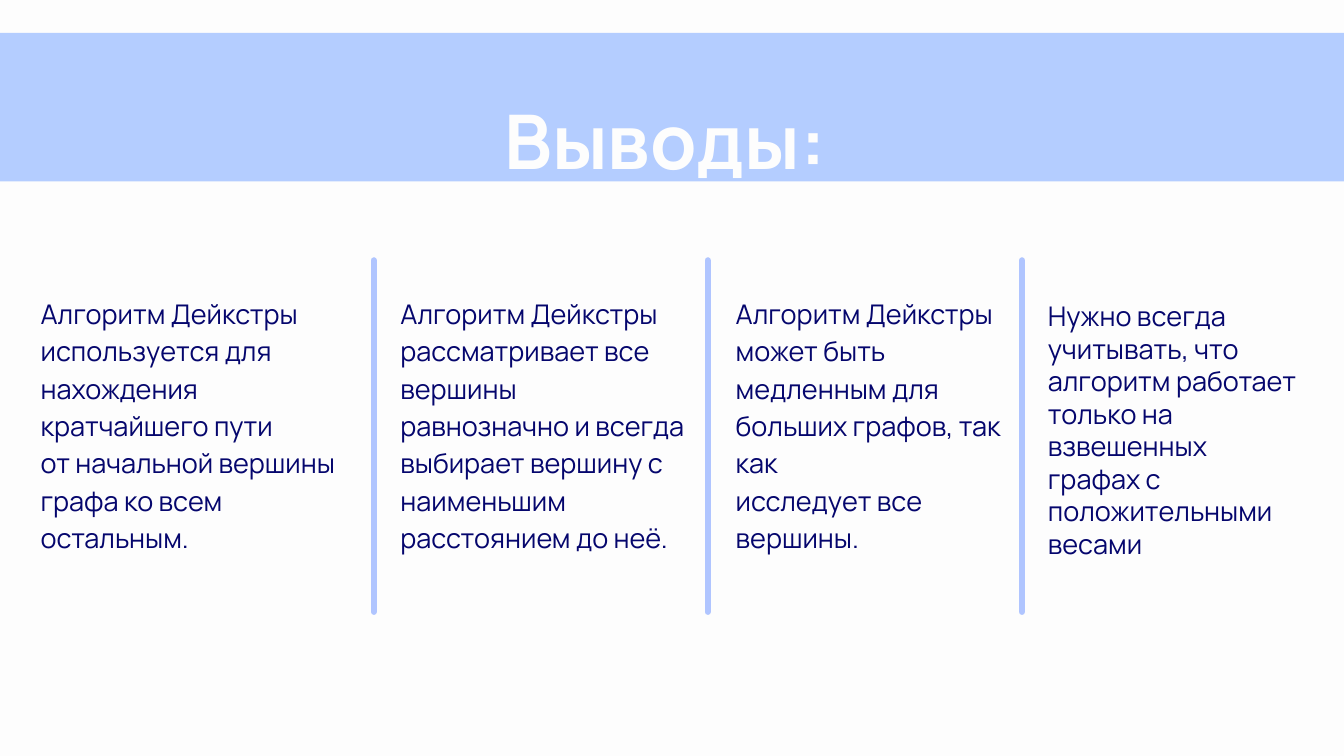
from pptx import Presentation
from pptx.dml.color import RGBColor
from pptx.enum.shapes import MSO_CONNECTOR, MSO_SHAPE
from pptx.enum.text import MSO_ANCHOR, MSO_AUTO_SIZE, PP_ALIGN
from pptx.oxml.ns import qn
from pptx.util import Pt
from lxml import etree

STRAIGHT, RECTANGLE = MSO_CONNECTOR.STRAIGHT, MSO_SHAPE.RECTANGLE
TOP, GROW = MSO_ANCHOR.TOP, MSO_AUTO_SIZE.SHAPE_TO_FIT_TEXT
LEFT, CENTER = PP_ALIGN.LEFT, PP_ALIGN.CENTER

PAPER = RGBColor(0xFD, 0xFD, 0xFD)
BAND = RGBColor(0xB4, 0xCD, 0xFF)
RULE = RGBColor(0xB0, 0xC5, 0xFF)
NAVY = RGBColor(0x05, 0x06, 0x6D)
FONT = "Manrope"
WIDTH, HEIGHT = 1920, 1080

# Left, width, inset, line spacing, paragraphs
COLUMNS = [
    (58, 422, 0, 1.15, [
        "Алгоритм Дейкстры используется для нахождения кратчайшего пути",
        "от начальной вершины графа ко всем остальным."]),
    (572, 409, 0, 1.15, [
        "Алгоритм Дейкстры рассматривает все вершины равнозначно и всегда",
        "выбирает вершину с наименьшим расстоянием до неё."]),
    (1051, 409, 0, 1.15, [
        "Алгоритм Дейкстры может быть медленным для больших графов, так как",
        "исследует все вершины."]),
    (1487, 379, 10, 1.0, [
        "Нужно всегда учитывать, что алгоритм работает только на взвешенных "
        "графах с положительными весами"]),
]
DIVIDERS = [534, 1011, 1460]


def px(n):
    return n * 9525


def place(shape, x, y, w, h):
    shape.left, shape.top, shape.width, shape.height = px(x), px(y), px(w), px(h)


def write(shape, paragraphs, size, color, spacing, inset=0, align=LEFT, bold=False):
    tf = shape.text_frame
    tf.text = "\n".join(paragraphs)
    tf.word_wrap = True
    tf.auto_size = GROW
    tf.vertical_anchor = TOP
    tf.margin_left = tf.margin_right = tf.margin_top = tf.margin_bottom = px(inset)
    for p in tf.paragraphs:
        p.alignment = align
        p.line_spacing = spacing
        p.space_before = Pt(0)
        for r in p.runs:
            r.font.name = FONT
            r.font.size = Pt(size)
            r.font.bold = bold
            r.font.color.rgb = color


def add_header(s, x, y, w, h):
    # Band goes behind the title
    band = s.shapes.add_shape(RECTANGLE, px(x), px(y), px(w), px(h))
    band.shadow.inherit = False
    band.fill.solid()
    band.fill.fore_color.rgb = BAND
    band.line.fill.background()
    title = s.shapes.title
    title._element.addprevious(band._element)

    place(title, x + 505, y + 36, 891, 131)
    write(title, ["Выводы:"], 80.8, PAPER, 1.4, align=CENTER, bold=True)


def add_divider(s, x, y, h):
    line = s.shapes.add_connector(STRAIGHT, px(x), px(y), px(x), px(y + h))
    line.line.color.rgb = RULE
    line.line.width = Pt(6.75)
    spPr = line._element.spPr
    spPr.find(qn("a:ln")).set("cap", "rnd")
    etree.SubElement(spPr, qn("a:effectLst"))


def add_conclusions(s, y, h):
    for x in DIVIDERS:
        add_divider(s, x, y, h)
    for x, w, inset, spacing, paragraphs in COLUMNS:
        box = s.shapes.add_textbox(px(x), px(y + 46), px(w), px(h - 92))
        write(box, paragraphs, 29, NAVY, spacing, inset)


def main():
    prs = Presentation()
    prs.slide_width, prs.slide_height = px(WIDTH), px(HEIGHT)
    s = prs.slides.add_slide(prs.slide_layouts[5])
    s.background.fill.solid()
    s.background.fill.fore_color.rgb = PAPER
    add_header(s, 0, 47, WIDTH, 212)
    add_conclusions(s, 372, 502)
    prs.save("out.pptx")


if __name__ == "__main__":
    main()
